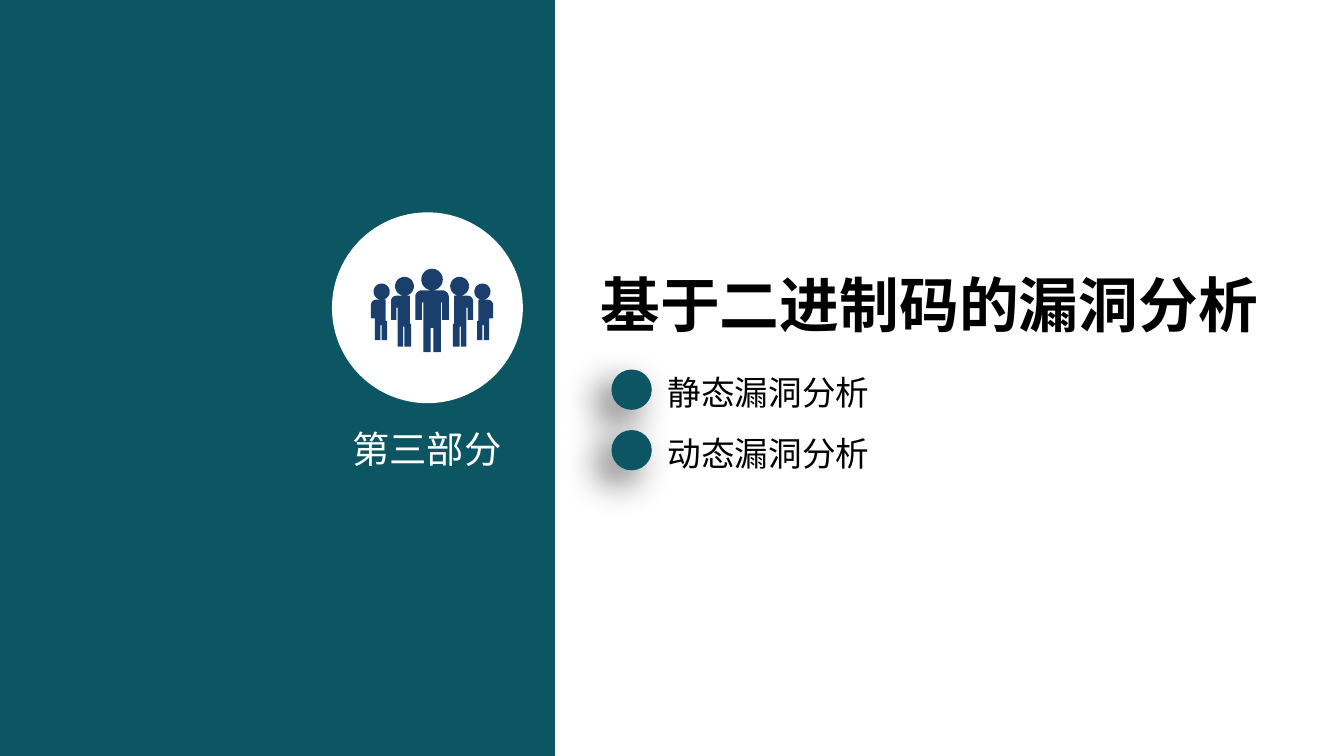
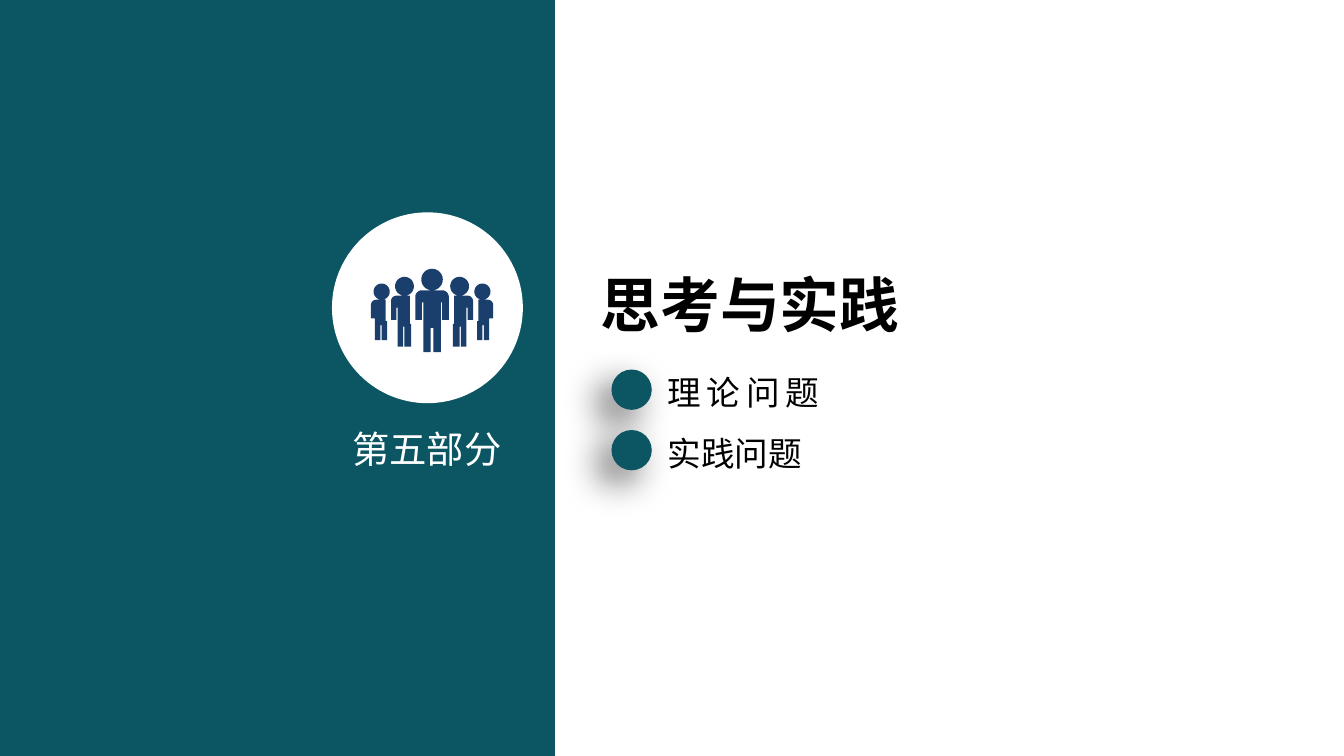
import math
from lxml import etree
from pptx import Presentation
from pptx import util as u
from pptx.dml.color import RGBColor
from pptx.enum import shapes, text
from pptx.oxml.ns import qn

WIDE = 10
HIGH = WIDE * 9 / 16
FACE = "Noto Sans CJK SC"
TEAL, NAVY, WHITE, BLACK = "0C5663", "1A3F6C", "FFFFFF", "000000"

# Text formats
TITLE = {"size": u.Pt(32), "bold": True}
PART = {"size": u.Pt(20), "bold": False}
ITEM = {"size": u.Pt(18), "bold": False}

# Layout
BAND = 4.13
DOT, DOT_X, DOT_Y, PITCH = 0.3, 4.55, 2.75, 0.45
MID = (2.76 + 3.67) / 2  # axis of the people icon

# Part, title, items with their letter spacing in points
PAGES = [
    ("第三部分", "基于二进制码的漏洞分析", [("静态漏洞分析", 0), ("动态漏洞分析", 0)]),
    ("第五部分", "思考与实践", [("理论问题", 3), ("实践问题", 0)]),
]

# Side people: head (x, y, radius), then the lines of the body
SIDES = [
    {"head": (3.01, 2.13, 0.07), "xs": (2.91, 2.95, 2.96, 3.0, 3.01, 3.05, 3.06),
     "ys": (2.2, 2.29, 2.38, 2.41, 2.43, 2.58)},
    {"head": (2.84, 2.17, 0.06), "xs": (2.76, 2.79, 2.79, 2.83, 2.84, 2.87, 2.88),
     "ys": (2.23, 2.29, 2.37, 2.39, 2.42, 2.53)},
]


def paint(fill, tone):
    fill.solid()
    fill.fore_color.rgb = RGBColor.from_string(tone)


def add_node(top, tag, **attrs):
    return etree.SubElement(top, qn(tag), attrs)


def add_form(group, kind, x, y, w, h, tone):
    form = group.add_shape(kind, *map(u.Inches, (x, y, w, h)))
    form.shadow.inherit = False
    paint(form.fill, tone)
    form.line.fill.background()
    return form


def add_text(slide, words, x, y, w, h, style, tone=BLACK, wrap=False, inset=None, gap=0):
    box = slide.shapes.add_textbox(*map(u.Inches, (x, y, w, h)))
    frame = box.text_frame
    frame.word_wrap = wrap
    frame.auto_size = text.MSO_AUTO_SIZE.SHAPE_TO_FIT_TEXT
    if inset is not None:
        for side in ("left", "top", "right", "bottom"):
            setattr(frame, "margin_" + side, u.Inches(inset))
    run = frame.paragraphs[0].add_run()
    run.text = words
    for key, val in style.items():
        setattr(run.font, key, val)
    run.font.name = FACE
    run.font.color.rgb = RGBColor.from_string(tone)
    props = run.font._element
    add_node(props, "a:ea", typeface=FACE)
    if gap:
        props.set("spc", str(gap * 100))


def text_width(words, style, gap=0):
    return len(words) * (style["size"].inches * 1.01 + gap / 72) + 0.2


def add_dot(slide, x, y):
    dot = add_form(slide.shapes, shapes.MSO_SHAPE.OVAL, x, y, DOT, DOT, TEAL)
    effects = dot._element.spPr.find(qn("a:effectLst"))
    shade = add_node(effects, "a:outerShdw", blurRad=str(u.Pt(20)), dist=str(u.Pt(10)),
                     dir=str(135 * 60000), algn="tr", rotWithShape="0")
    add_node(add_node(shade, "a:srgbClr", val=BLACK), "a:alpha", val="60000")


# People icon
def arc(x, y, r, start, end, steps):
    turns = [math.radians(start + (end - start) * i / steps) for i in range(steps + 1)]
    return [(x + r * math.cos(t), y + r * math.sin(t)) for t in turns]


def side_body(xs, ys):
    arm, slit, leg, gap, step, back, heel = xs
    top, pit, hand, hip, fork, foot = ys
    return arc(arm + 0.04, top + 0.04, 0.04, 180, 270, 6) + [
        (back, top), (back, hip), (heel, hip), (heel, foot), (step, foot),
        (step, fork), (gap, fork), (gap, foot), (leg, foot),
        (leg, pit), (slit, pit), (slit, hand), (arm, hand)]


def flip(points):
    return [(2 * MID - x, y) for x, y in points]


def outlines():
    # The middle person is one half and its reflection
    half = [(MID - 0.01, 2.44), (MID - 0.01, 2.62), (3.15, 2.62), (3.15, 2.25),
            (3.14, 2.25), (3.14, 2.38), (3.09, 2.38)]
    half += arc(3.14, 2.21, 0.05, 180, 270, 6)
    yield arc(MID, 2.08, 0.08, 0, 360, 36)
    yield half + flip(half)[::-1]
    for side in SIDES:
        for part in (arc(*side["head"], 0, 360, 36), side_body(side["xs"], side["ys"])):
            yield part
            yield flip(part)


def add_people(group):
    lines = [[(u.Inches(x), u.Inches(y)) for x, y in line] for line in outlines()]
    pen = group.build_freeform(*lines[0][0], scale=1.0)
    for i, line in enumerate(lines):
        if i:
            pen.move_to(*line[0])
        pen.add_line_segments(line[1:], close=True)
    icon = pen.convert_to_shape()
    icon.shadow.inherit = False
    paint(icon.fill, NAVY)
    icon.line.fill.background()


def add_page(deck, part, title, items):
    slide = deck.slides.add_slide(deck.slide_layouts[6])
    paint(slide.background.fill, WHITE)
    # Band, title and part label
    add_form(slide.shapes, shapes.MSO_SHAPE.RECTANGLE, 0, 0, BAND, HIGH, TEAL)
    add_text(slide, title, 4.37, 1.94, text_width(title, TITLE), 0.64, TITLE)
    add_text(slide, part, 2.62, 3.17, 1.36, 0.34, PART, WHITE, wrap=True, inset=0)
    # Badge
    badge = slide.shapes.add_group_shape().shapes
    add_form(badge, shapes.MSO_SHAPE.OVAL, 2.47, 1.58, 1.42, 1.42, WHITE)
    add_people(badge)
    # Items
    for row, (words, gap) in enumerate(items):
        y = DOT_Y + row * PITCH
        add_text(slide, words, DOT_X + 0.32, y - 0.03, text_width(words, ITEM, gap), 0.4,
                 ITEM, gap=gap)
        add_dot(slide, DOT_X, y)


def main():
    deck = Presentation()
    deck.slide_width, deck.slide_height = u.Inches(WIDE), u.Inches(HIGH)
    for page in PAGES:
        add_page(deck, *page)
    deck.save("out.pptx")


if __name__ == "__main__":
    main()
